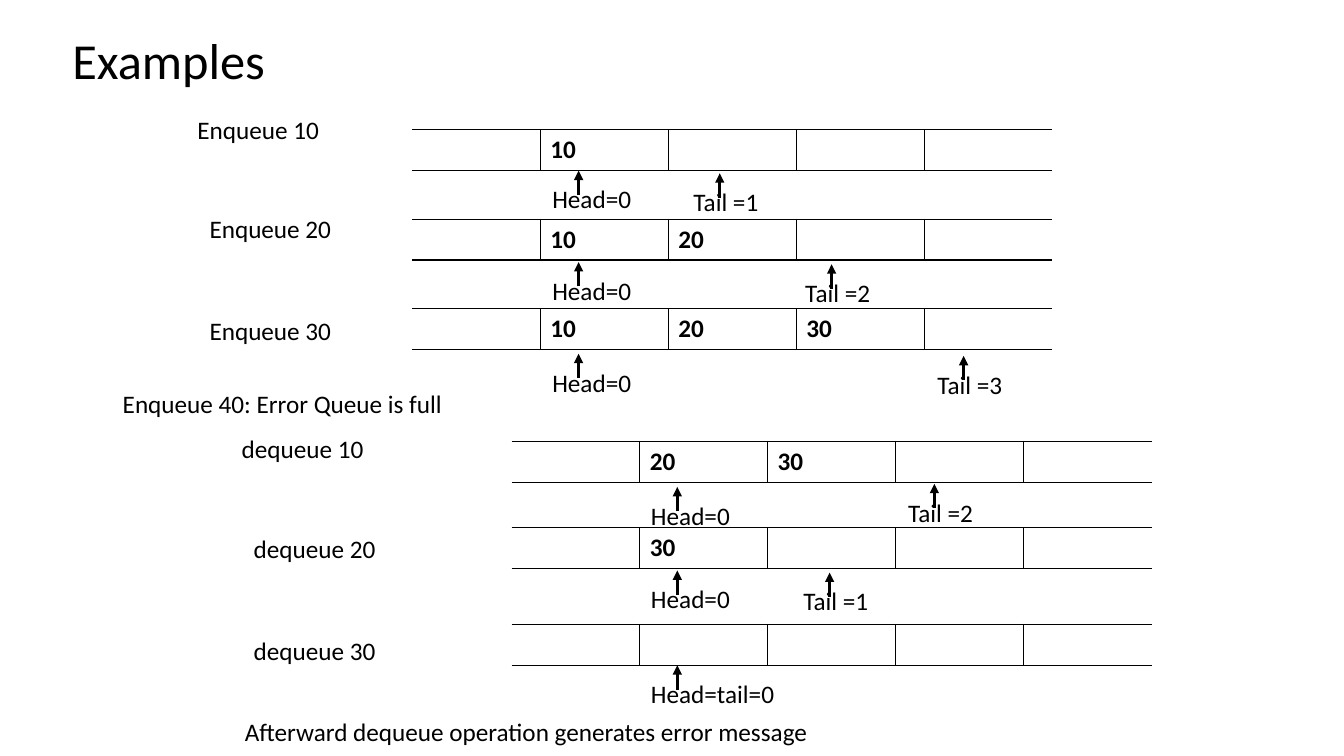
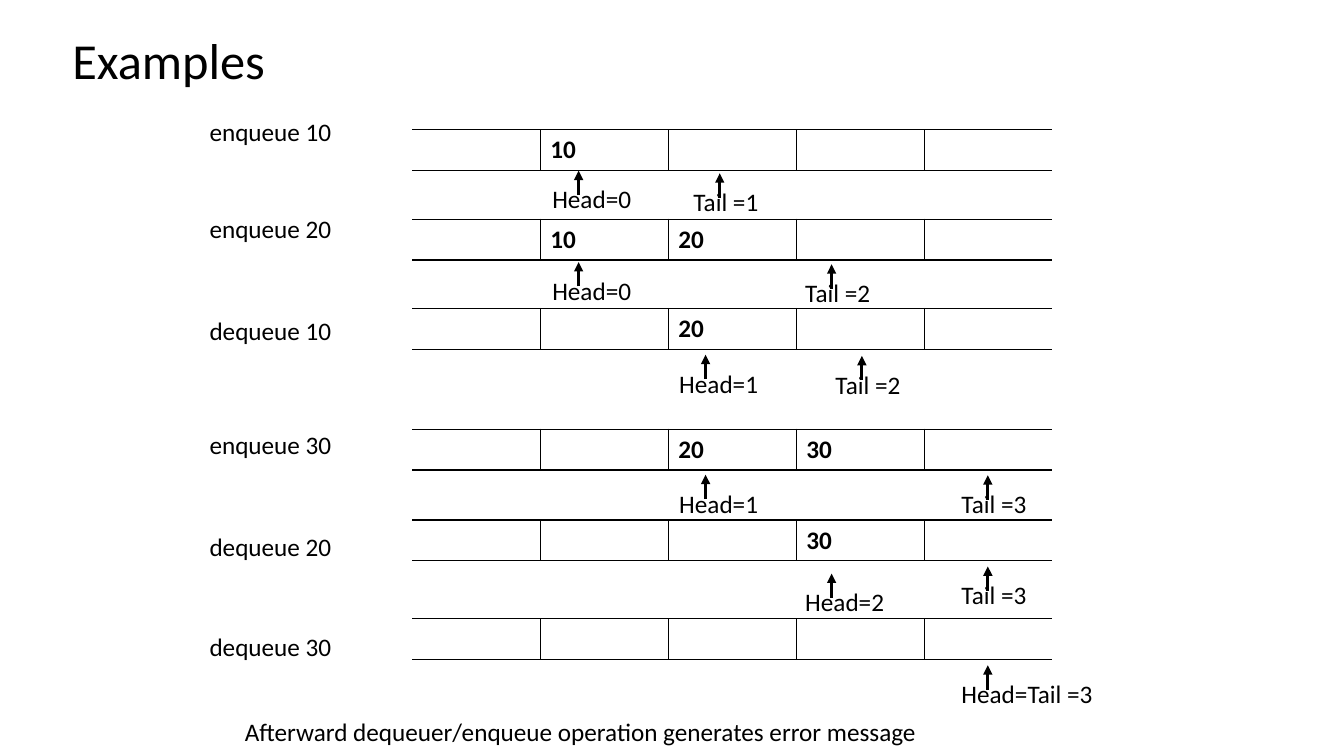
"""Build two slides that trace enqueue and dequeue steps on an array queue."""
from collections import namedtuple

from lxml.etree import SubElement
from pptx import Presentation
from pptx.dml.color import RGBColor
from pptx.enum.shapes import MSO_CONNECTOR as CONN
from pptx.enum.text import MSO_ANCHOR as ANCHOR, MSO_AUTO_SIZE as FIT
from pptx.oxml.ns import qn
from pptx.util import Pt

BLACK = RGBColor(0, 0, 0)
FONT = "Calibri"
COLS, COL_W, ROW_H = 5, 91.44, 29.2
LEFT, RIGHT = 294.5, 365.5
ARROW_H, LABEL_DX, LABEL_DY = 17.4, -25.9, 5.8
LABEL_H, STEP_W = 29.1, 102.6
HEAD_W, TAIL_W = 71.3, 61.2

Step = namedtuple("Step", "label x y left top values pointers")
Pointer = namedtuple("Pointer", "text x tip width")


def head(n, x, tip):
    return Pointer(f"Head={n}", x, tip, HEAD_W)


def tail(n, x, tip):
    return Pointer(f"Tail ={n}", x, tip, TAIL_W)


FIRST = [head(0, 413.3, 121.9), tail(1, 514.1, 123.8)]
SECOND = [head(0, 413.3, 187.2), tail(2, 594, 188.8)]

FILL_THEN_EMPTY = [
    Step("Enqueue 10", 133.9, 77.8, LEFT, 92.6, ["10"], FIRST),
    Step("Enqueue 20", 142.6, 149, LEFT, 156.5, ["10", "20"], SECOND),
    Step("Enqueue 30", 142.6, 221.8, LEFT, 220.3, ["10", "20", "30"],
         [head(0, 413.3, 252.7), tail(3, 688.3, 254.2)]),
    Step("dequeue 10", 165.6, 306, RIGHT, 315.4, ["20", "30"],
         [head(0, 483.8, 347.8), tail(2, 667.4, 345.6)]),
    Step("dequeue 20", 174.2, 377.3, RIGHT, 376.8, ["30"],
         [head(0, 483.8, 407.5), tail(1, 592.6, 409)]),
    Step("dequeue 30", 174.2, 450, RIGHT, 446, [],
         [Pointer("Head=tail=0", 483.8, 475.2, 103.7)]),
]

MOVING_HEAD = [
    Step("enqueue 10", 142.6, 79.2, LEFT, 92.6, ["10"], FIRST),
    Step("enqueue 20", 142.6, 149, LEFT, 156.5, ["10", "20"], SECOND),
    Step("dequeue 10", 142.6, 221.8, LEFT, 220.3, ["", "20"],
         [head(1, 504, 253.4), tail(2, 615.6, 254.2)]),
    Step("enqueue 30", 142.6, 303.1, LEFT, 306.5, ["", "20", "30"],
         [head(1, 504, 339.1), tail(3, 705.6, 339.5)]),
    Step("dequeue 20", 142.6, 375.8, LEFT, 371.4, ["", "", "30"],
         [head(2, 594, 409.7), tail(3, 705.6, 404.6)]),
    Step("dequeue 30", 142.6, 447.1, LEFT, 442, [],
         [Pointer("Head=Tail =3", 705.6, 475.2, 109.4)]),
]


def write(tf, text, size=18, bold=False, spacing=None):
    p = tf.paragraphs[0]
    p.line_spacing = spacing
    r = p.add_run()
    r.text = text
    r.font.name = FONT
    r.font.size = Pt(size)
    r.font.bold = bold
    r.font.color.rgb = BLACK


def add_label(s, text, x, y, w):
    tf = s.shapes.add_textbox(Pt(x), Pt(y), Pt(w), Pt(LABEL_H)).text_frame
    tf.word_wrap = False
    tf.auto_size = FIT.SHAPE_TO_FIT_TEXT
    write(tf, text)


def add_title(s, text):
    tf = s.shapes.add_textbox(Pt(44.6), Pt(5.8), Pt(828), Pt(78.5)).text_frame
    tf.word_wrap = True
    tf.vertical_anchor = ANCHOR.MIDDLE
    write(tf, text, size=36, spacing=0.9)


def set_borders(cell, open_side):
    tc_pr = cell._tc.get_or_add_tcPr()
    for side in ("lnL", "lnR", "lnT", "lnB"):
        ln = SubElement(tc_pr, qn(f"a:{side}"), w=str(Pt(1)))
        if side == open_side:
            SubElement(ln, qn("a:noFill"))
        else:
            fill = SubElement(ln, qn("a:solidFill"))
            SubElement(fill, qn("a:srgbClr"), val=str(BLACK))


def add_queue(s, left, top, values):
    table = s.shapes.add_table(1, COLS, Pt(left), Pt(top),
                               Pt(COLS * COL_W), Pt(ROW_H)).table
    table.first_row = table.horz_banding = False
    open_sides = {0: "lnL", COLS - 1: "lnR"}
    for i in range(COLS):
        cell = table.cell(0, i)
        set_borders(cell, open_sides.get(i))
        cell.fill.background()
    for i, value in enumerate(values, start=1):
        if value:
            write(table.cell(0, i).text_frame, value, bold=True)


def add_pointer(s, pointer):
    x, tip = pointer.x, pointer.tip
    arrow = s.shapes.add_connector(CONN.STRAIGHT, Pt(x), Pt(tip + ARROW_H),
                                   Pt(x), Pt(tip))
    arrow.line.color.rgb = BLACK
    arrow.line.width = Pt(2.25)
    SubElement(arrow.line._get_or_add_ln(), qn("a:tailEnd"), type="triangle")
    SubElement(arrow._element.spPr, qn("a:effectLst"))
    add_label(s, pointer.text, x + LABEL_DX, tip + LABEL_DY, pointer.width)


def add_example(prs, steps, closing, closing_w):
    s = prs.slides.add_slide(prs.slide_layouts[6])
    add_title(s, "Examples")
    for step in steps:
        add_label(s, step.label, step.x, step.y, STEP_W)
        add_queue(s, step.left, step.top, step.values)
        for pointer in step.pointers:
            add_pointer(s, pointer)
    add_label(s, closing, 167.8, 508.3, closing_w)
    return s


def main():
    prs = Presentation()
    prs.slide_width, prs.slide_height = Pt(960), Pt(540)
    s = add_example(prs, FILL_THEN_EMPTY,
                    "Afterward dequeue operation generates error message", 421.9)
    add_label(s, "Enqueue 40: Error Queue is full", 80.6, 273.6, 245.5)
    add_example(prs, MOVING_HEAD,
                "Afterward dequeuer/enqueue operation generates error message", 500.4)
    prs.save("out.pptx")


if __name__ == "__main__":
    main()
